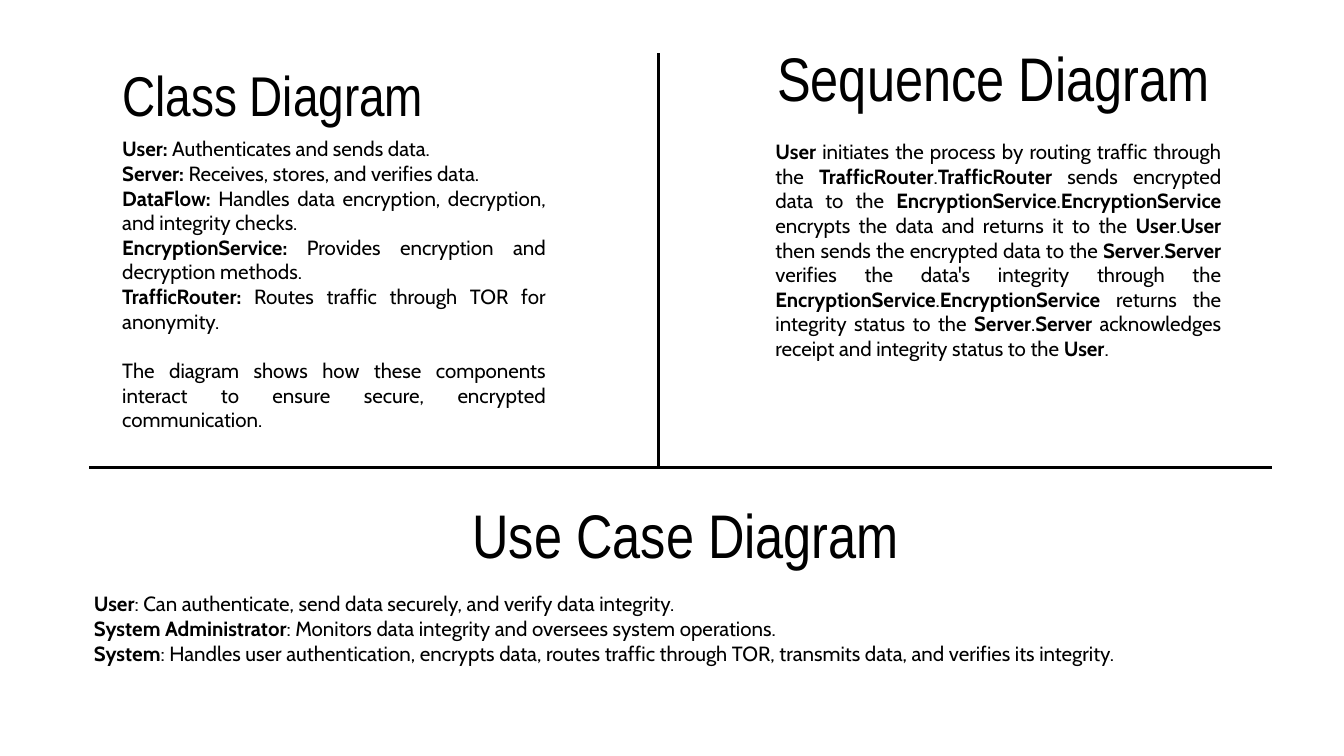
from dataclasses import dataclass

from lxml.etree import SubElement
from pptx import Presentation
from pptx.dml.color import RGBColor
from pptx.enum.shapes import MSO_CONNECTOR
from pptx.enum.text import MSO_AUTO_SIZE, PP_ALIGN as Align
from pptx.oxml.ns import qn
from pptx.util import Cm, Pt

BLACK = RGBColor(0, 0, 0)
WHITE = RGBColor(255, 255, 255)
TITLE_FONT, BODY_FONT = "Arial Narrow", "Cabin"
BODY_SIZE = 22

# Text between double asterisks is bold.
CLASS_ROLES = [
    "**User:** Authenticates and sends data.",
    "**Server: **Receives, stores, and verifies data.",
    "**DataFlow: **Handles data encryption, decryption, and integrity checks.",
    "**EncryptionService:** Provides encryption and decryption methods.",
    "**TrafficRouter: **Routes traffic through TOR for anonymity.",
]
CLASS_SUMMARY = (
    "The diagram shows how these components interact to ensure secure, "
    "encrypted communication."
)
SEQUENCE_STEPS = [
    "**User** initiates the process by routing traffic through the **TrafficRouter**.",
    "**TrafficRouter** sends encrypted data to the **EncryptionService**.",
    "**EncryptionService** encrypts the data and returns it to the **User**.",
    "**User** then sends the encrypted data to the **Server**.",
    "**Server** verifies the data's integrity through the **EncryptionService**.",
    "**EncryptionService** returns the integrity status to the **Server**.",
    "**Server** acknowledges receipt and integrity status to the **User**.",
]
USE_CASES = [
    "**User**: Can authenticate, send data securely, and verify data integrity.",
    "**System Administrator**: Monitors data integrity and oversees system operations.",
    "**System**: Handles user authentication, encrypts data, routes traffic through "
    "TOR, transmits data, and verifies its integrity.",
]


@dataclass
class Box:
    """A rectangle in centimetres."""
    left: float
    top: float
    width: float
    height: float


def add_text_frame(page, box):
    shape = page.shapes.add_textbox(
        Cm(box.left), Cm(box.top), Cm(box.width), Cm(box.height))
    frame = shape.text_frame
    frame.word_wrap = True
    frame.auto_size = MSO_AUTO_SIZE.SHAPE_TO_FIT_TEXT
    return frame


def set_font(para, name, size):
    para.font.name = name
    para.font.size = Pt(size)
    para.font.color.rgb = BLACK


def add_title(page, box, text, size, align):
    para = add_text_frame(page, box).paragraphs[0]
    para.text = text
    para.alignment = align
    set_font(para, TITLE_FONT, size)


def add_body(page, box, lines, align):
    """Write one paragraph per line and return them all."""
    frame = add_text_frame(page, box)
    for index, line in enumerate(lines):
        para = frame.add_paragraph() if index else frame.paragraphs[0]
        para.alignment = align
        set_font(para, BODY_FONT, BODY_SIZE)
        for part, text in enumerate(line.split("**")):
            if text:
                span = para.add_run()
                span.text = text
                span.font.bold = part % 2 == 1
    return frame.paragraphs


def add_class_section(page, box):
    add_title(page, Box(box.left, box.top, 17.78, 2.82),
              "Class Diagram", 60, Align.LEFT)
    paras = add_body(page, Box(box.left, box.top + 2.85, box.width, box.height - 2.85),
                     CLASS_ROLES + [CLASS_SUMMARY], Align.JUSTIFY)
    paras[-1].space_before = Pt(BODY_SIZE * 1.2)


def add_sequence_section(page, box):
    add_title(page, Box(box.left + 0.07, box.top, 19.35, 3.07),
              "Sequence Diagram", 66, Align.LEFT)
    add_body(page, Box(box.left, box.top + 3.73, box.width, box.height - 3.73),
             ["".join(SEQUENCE_STEPS)], Align.JUSTIFY)


def add_use_case_section(page, box):
    add_title(page, Box(box.left + 0.08, box.top, 45.09, 3.07),
              "Use Case Diagram", 66, Align.CENTER)
    add_body(page, Box(box.left, box.top + 3.56, box.width, box.height - 3.56),
             USE_CASES, Align.LEFT)


def add_rule(page, start_x, start_y, end_x, end_y):
    rule = page.shapes.add_connector(
        MSO_CONNECTOR.STRAIGHT, Cm(start_x), Cm(start_y), Cm(end_x), Cm(end_y))
    rule.line.color.rgb = BLACK
    rule.line.width = Pt(3)
    SubElement(rule._element.spPr, qn("a:effectLst"))


def add_dividers(page, box, middle):
    """Draw the bottom edge of the box and an upright down to it."""
    bottom = box.top + box.height
    add_rule(page, box.left, bottom, box.left + box.width, bottom)
    add_rule(page, middle, box.top, middle, bottom)


def main():
    deck = Presentation()
    deck.slide_width, deck.slide_height = Cm(50.8), Cm(28.58)
    page = deck.slides.add_slide(deck.slide_layouts[6])
    page.background.fill.solid()
    page.background.fill.fore_color.rgb = WHITE

    add_class_section(page, Box(4.37, 2.18, 16.51, 14.38))
    add_use_case_section(page, Box(3.3, 18.67, 42.75, 8.51))
    add_sequence_section(page, Box(29.06, 1.4, 17.35, 15.26))
    add_dividers(page, Box(3.38, 2.01, 44.68, 15.67), 24.89)
    deck.save("out.pptx")


if __name__ == "__main__":
    main()
